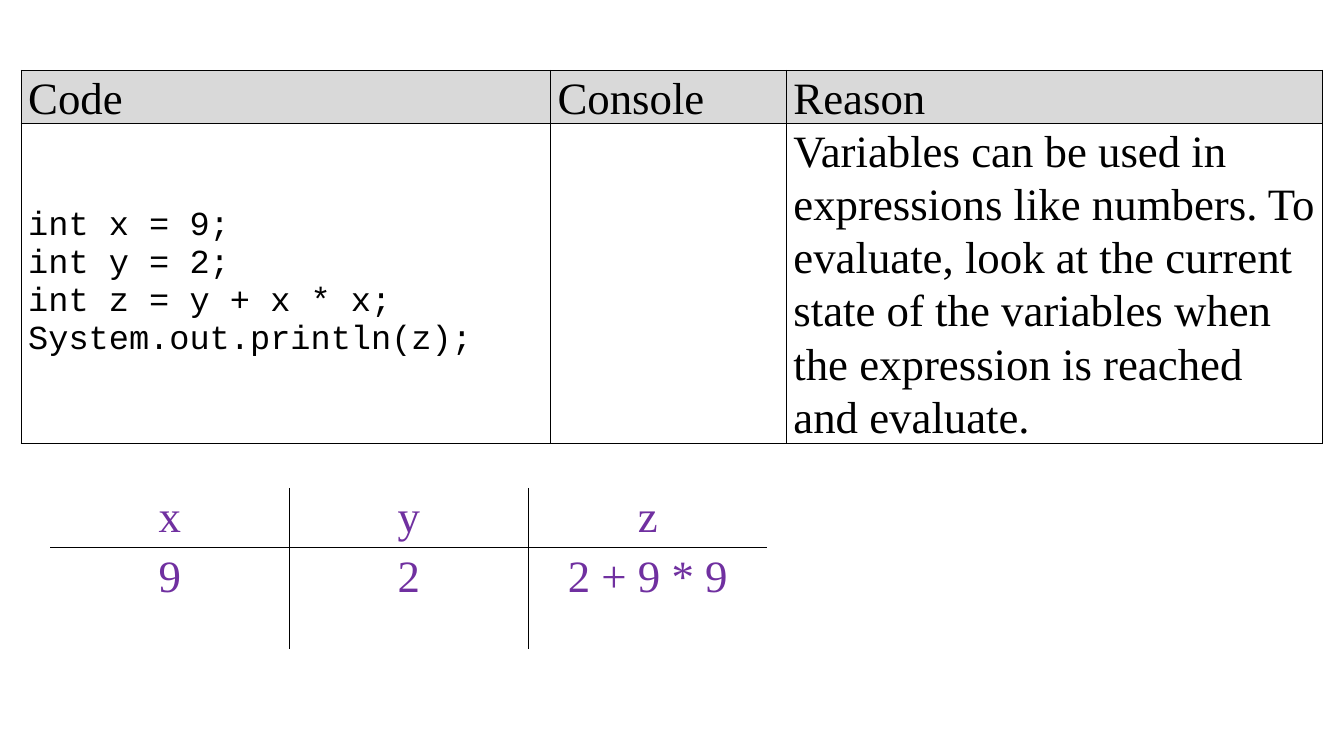
from lxml import etree
from pptx import Presentation
from pptx import util as u
from pptx.dml.color import RGBColor
from pptx.enum import text
from pptx.oxml.ns import qn

BLACK, GREY, PURPLE = "000000", "D9D9D9", "7030A0"
SERIF = {"name": "Times New Roman", "size": u.Pt(32)}
MONO = {"name": "Courier New", "size": u.Pt(24)}
SNUG = {"margin_left": u.Inches(0.07), "margin_right": u.Inches(0.07),
        "margin_top": 0, "margin_bottom": 0,
        "vertical_anchor": text.MSO_ANCHOR.MIDDLE}


def rgb(value):
    return RGBColor.from_string(value)


def set_all(target, values):
    for name, value in values.items():
        setattr(target, name, value)


class SlideBuilder:
    def __init__(self, slide):
        self.slide = slide

    def table(self, left, top, width, height, columns, rows):
        frame = self.slide.shapes.add_table(
            len(rows), len(columns), u.Inches(left), u.Inches(top),
            u.Inches(width), u.Inches(height))
        table = frame.table
        table.first_row = table.horz_banding = False
        for column, size in zip(table.columns, columns):
            column.width = u.Inches(size)
        for row, size in zip(table.rows, rows):
            row.height = u.Inches(size)
        # Row sizes are minimums; the frame leaves room for the grown rows.
        frame.height = u.Inches(height)
        return table

    def cell(self, cell, lines, font, color=BLACK, edges="LRTB", fill=None,
             layout=None, paragraph=None):
        """Write lines into a cell, rule the given edges and set its fill."""
        set_all(cell, layout or {})
        self.borders(cell, edges)
        if fill:
            cell.fill.solid()
            cell.fill.fore_color.rgb = rgb(fill)
        else:
            cell.fill.background()
        for index, line in enumerate(lines):
            frame = cell.text_frame
            para = frame.add_paragraph() if index else frame.paragraphs[0]
            set_all(para, paragraph or {})
            span = para.add_run()
            span.text = line
            set_all(span.font, font)
            span.font.color.rgb = rgb(color)

    def borders(self, cell, edges):
        properties = cell._tc.get_or_add_tcPr()
        for edge in "LRTB":
            line = etree.SubElement(properties, qn(f"a:ln{edge}"), w=str(u.Pt(1)))
            if edge in edges:
                fill = etree.SubElement(line, qn("a:solidFill"))
                etree.SubElement(fill, qn("a:srgbClr"), val=BLACK)
            else:
                etree.SubElement(line, qn("a:noFill"))


def add_code_table(builder):
    table = builder.table(0.21, 0.7, 12.91, 3.92, [5.25, 2.34, 5.32], [0.45, 1.26])
    prose = {"line_spacing": 1.07}
    for column, heading in enumerate(["Code", "Console", "Reason"]):
        builder.cell(table.cell(0, column), [heading], SERIF, fill=GREY,
                     layout=SNUG, paragraph=prose)
    code = ["int x = 9;", "int y = 2;", "int z = y + x * x;", "System.out.println(z);"]
    reason = ["Variables can be used in expressions like numbers. To evaluate, "
              "look at the current state of the variables when the expression "
              "is reached and evaluate."]
    builder.cell(table.cell(1, 0), code, MONO, layout=SNUG)
    builder.cell(table.cell(1, 1), [], SERIF)
    builder.cell(table.cell(1, 2), reason, SERIF, layout=SNUG, paragraph=prose)


def add_state_table(builder):
    table = builder.table(0.5, 4.84, 7.1, 1.67, [2.37] * 3, [0.41] * 3)
    centred = {"alignment": text.PP_ALIGN.CENTER}
    states = [["x", "y", "z"], ["9", "2", "2 + 9 * 9"], [None] * 3]
    row_edges = ["B", "T", ""]
    column_edges = ["R", "LR", "L"]
    for row, values in enumerate(states):
        for column, value in enumerate(values):
            builder.cell(table.cell(row, column), [value] if value else [], SERIF,
                         PURPLE, row_edges[row] + column_edges[column],
                         paragraph=centred)


def main():
    deck = Presentation()
    deck.slide_width, deck.slide_height = u.Inches(13.33), u.Inches(7.5)
    builder = SlideBuilder(deck.slides.add_slide(deck.slide_layouts[6]))
    add_code_table(builder)
    add_state_table(builder)
    deck.save("out.pptx")


if __name__ == "__main__":
    main()
